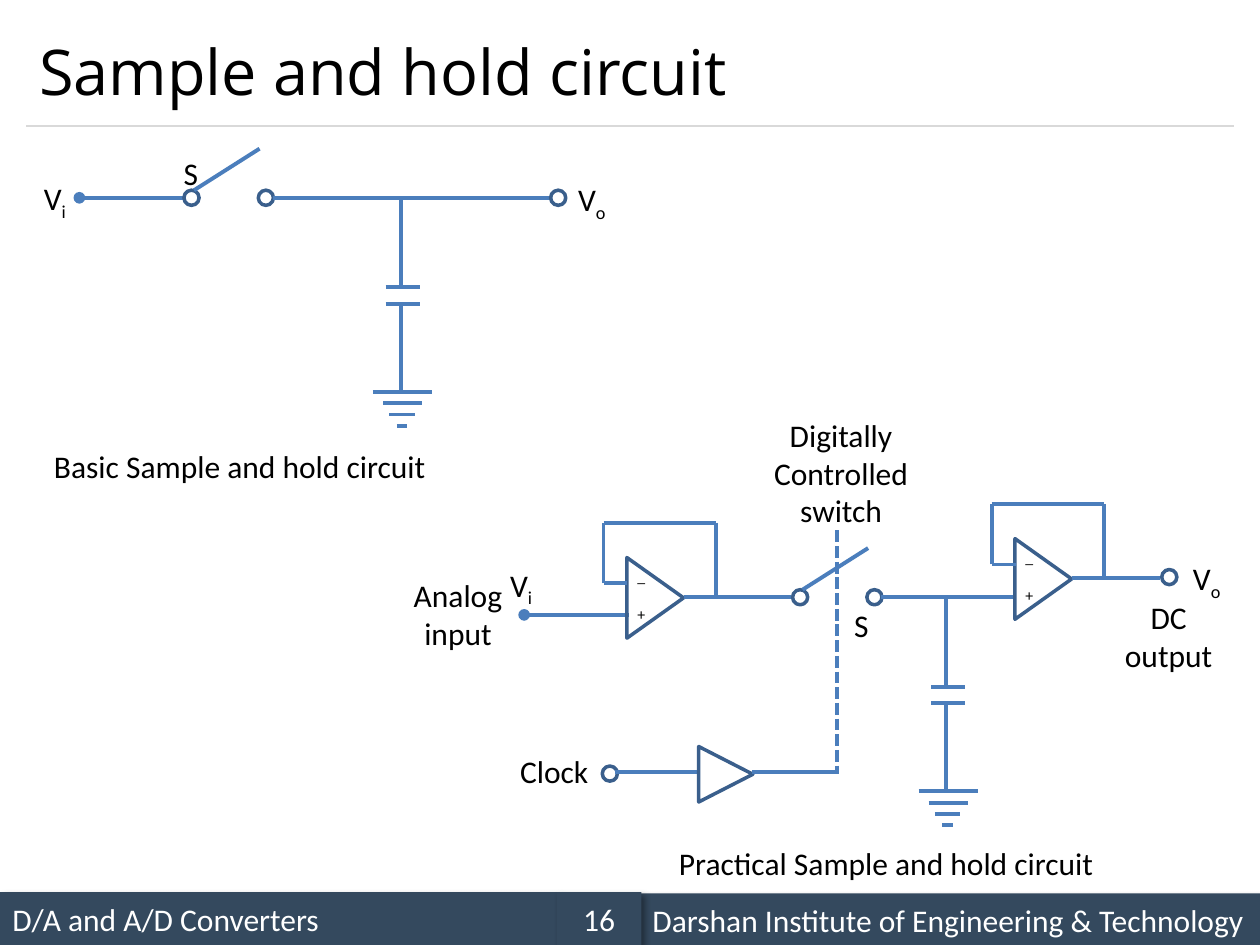
from lxml import etree
from pptx import Presentation
from pptx import util as u
from pptx.dml.color import RGBColor
from pptx.enum import dml, shapes, text
from pptx.oxml import ns

PX = 9144
BLUE = RGBColor(0x4B, 0x7E, 0xBC)
NAVY = RGBColor(0x3A, 0x5F, 0x8C)
SLATE = RGBColor(0x34, 0x49, 0x5E)
GREY = RGBColor(0xD9, 0xD9, 0xD9)
BLACK = RGBColor(0, 0, 0)
WHITE = RGBColor(255, 255, 255)
KIND = shapes.MSO_SHAPE
ALIGN = text.PP_ALIGN


def px(*nums):
    return [u.Emu(n * PX) for n in nums]


def style(para, size=18, color=BLACK, align=ALIGN.LEFT, face="Calibri"):
    para.alignment = align
    para.font.size = u.Pt(size)
    para.font.name = face
    para.font.color.rgb = color


def wire(on, *dots, color=BLUE, width=2.25, dash=False, head=False):
    for start, end in zip(dots, dots[1:]):
        line = on.add_connector(shapes.MSO_CONNECTOR.STRAIGHT, *px(*start, *end))
        line.line.color.rgb = color
        line.line.width = u.Pt(width)
        if dash:
            line.line.dash_style = dml.MSO_LINE.SQUARE_DOT
        if head:
            etree.SubElement(line.line._get_or_add_ln(), ns.qn("a:headEnd"), type="oval")
        etree.SubElement(line._element.spPr, ns.qn("a:effectLst"))


def outline(on, kind, x, y, w, h, turn=0):
    form = on.add_shape(kind, *px(x, y, w, h))
    form.shadow.inherit = False
    form.fill.background()
    form.line.color.rgb = NAVY
    form.line.width = u.Pt(2)
    form.rotation = turn


def node(on, x, y):
    outline(on, KIND.OVAL, x, y, 12, 12)


def label(on, x, y, w, h, words, sub="", size=18, align=ALIGN.LEFT):
    frame = on.add_textbox(*px(x, y, w, h)).text_frame
    frame.word_wrap = True
    frame.auto_size = text.MSO_AUTO_SIZE.SHAPE_TO_FIT_TEXT
    frame.text = words
    for para in frame.paragraphs:
        style(para, size, align=align)
    if sub:
        run = frame.paragraphs[0].add_run()
        run.text = sub
        run.font._element.set("baseline", "-25000")


def switch(on, x, y):
    node(on, x, y)
    node(on, x + 59, y)
    wire(on, (x + 8, y), (x + 60, y - 33))


def hold(on, x, y):
    wire(on, (x, y), (x, y + 71))
    wire(on, (x, y + 84), (x, y + 154))
    for drop, width in ((71, 27), (84, 27), (154, 47), (163, 31), (172, 20), (181, 8)):
        left = x + 1 - width // 2
        wire(on, (left, y + drop), (left + width, y + drop))


def buffer(on, x, y, reach):
    outline(on, KIND.ISOSCELES_TRIANGLE, x + 9, y + 37, 64, 45, 90)
    label(on, x + 17, y + 30, 25, 25, "_", size=9)
    label(on, x + 17, y + 60, 25, 25, "+", size=9)
    wire(on, (x + 19, y + 48), (x, y + 48), (x, y), (x + 89, y), (x + 89, y + 59))
    wire(on, (x + 64, y + 59), (x + reach, y + 59))


def basic(slide, x, y):
    on = slide.shapes.add_group_shape().shapes
    wire(on, (x + 38, y + 40), (x + 121, y + 40), head=True)
    switch(on, x + 121, y + 34)
    wire(on, (x + 192, y + 40), (x + 412, y + 40))
    node(on, x + 412, y + 34)
    hold(on, x + 293, y + 40)
    label(on, x, y + 20, 46, 40, "V", "i")
    label(on, x + 424, y + 21, 46, 40, "V", "o")
    label(on, x + 111, y, 46, 40, "S")
    label(slide.shapes, x + 8, y + 233, 345, 41, "Basic Sample and hold circuit")


def clock(on, x, y):
    label(on, x, y, 77, 40, "Clock")
    node(on, x + 75, y + 16)
    wire(on, (x + 85, y + 21), (x + 152, y + 21))
    outline(on, KIND.ISOSCELES_TRIANGLE, x + 151, y + 1, 44, 43, 90)
    wire(on, (x + 194, y + 21), (x + 261, y + 21))


def practical(slide, x, y):
    on = slide.shapes.add_group_shape().shapes
    wire(on, (x + 99, y + 163), (x + 182, y + 163), head=True)
    buffer(on, x + 162, y + 90, 117)
    wire(on, (x + 248, y + 149), (x + 311, y + 149))
    switch(on, x + 312, y + 143)
    wire(on, (x + 382, y + 149), (x + 488, y + 149))
    hold(on, x + 434, y + 149)
    buffer(on, x + 470, y + 75, 134)
    node(on, x + 605, y + 127)
    clock(on, x + 86, y + 267)
    wire(on, (x + 347, y + 96), (x + 347, y + 289), dash=True)
    label(on, x + 78, y + 119, 46, 40, "V", "i")
    label(on, x + 620, y + 114, 46, 40, "V", "o")
    label(on, x + 351, y + 151, 34, 40, "S")
    label(on, x, y + 127, 93, 71, "Analog\ninput", align=ALIGN.CENTER)
    label(on, x + 564, y + 145, 93, 71, "DC\noutput", align=ALIGN.CENTER)
    label(on, x + 286, y, 129, 101, "Digitally\nControlled\nswitch", align=ALIGN.CENTER)
    label(slide.shapes, x + 212, y + 340, 371, 40, "Practical Sample and hold circuit")


def heading(slide, x, y, w, h):
    title = slide.shapes.title
    title.left, title.top, title.width, title.height = px(x, y, w, h)
    frame = title.text_frame
    frame.text = "Sample and hold circuit"
    frame.vertical_anchor = text.MSO_ANCHOR.MIDDLE
    style(frame.paragraphs[0], 36, face="Open Sans")
    wire(slide.shapes, (x, y + h), (x + w, y + h), color=GREY, width=0.75)


def shade(form):
    form.shadow.inherit = False
    cast = etree.SubElement(
        form._element.spPr.find(ns.qn("a:effectLst")), ns.qn("a:outerShdw"),
        blurRad=str(u.Pt(4)), dist=str(u.Pt(3)), dir="2700000", algn="tl", rotWithShape="0")
    tint = etree.SubElement(cast, ns.qn("a:srgbClr"), val="000000")
    etree.SubElement(tint, ns.qn("a:alpha"), val="40000")


def footer(slide, x, y):
    bars = (
        (0, 0, 442, "D/A and A/D Converters", ALIGN.LEFT),
        (508, 1, 492, "Darshan Institute of Engineering & Technology", ALIGN.LEFT),
        (442, 0, 67, "16", ALIGN.CENTER),
    )
    for left, top, width, words, align in bars:
        bar = slide.shapes.add_shape(KIND.RECTANGLE, *px(x + left, y + top, width, 42))
        shade(bar)
        bar.fill.solid()
        bar.fill.fore_color.rgb = SLATE
        bar.line.fill.background()
        frame = bar.text_frame
        frame.word_wrap = True
        frame.vertical_anchor = text.MSO_ANCHOR.MIDDLE
        frame.text = words
        style(frame.paragraphs[0], color=WHITE, align=align)


def main():
    deck = Presentation()
    deck.slide_width, deck.slide_height = px(1000, 750)
    slide = deck.slides.add_slide(deck.slide_layouts[5])
    footer(slide, 0, 708)
    heading(slide, 21, 12, 958, 88)
    basic(slide, 25, 117)
    practical(slide, 317, 325)
    deck.save("out.pptx")


if __name__ == "__main__":
    main()
